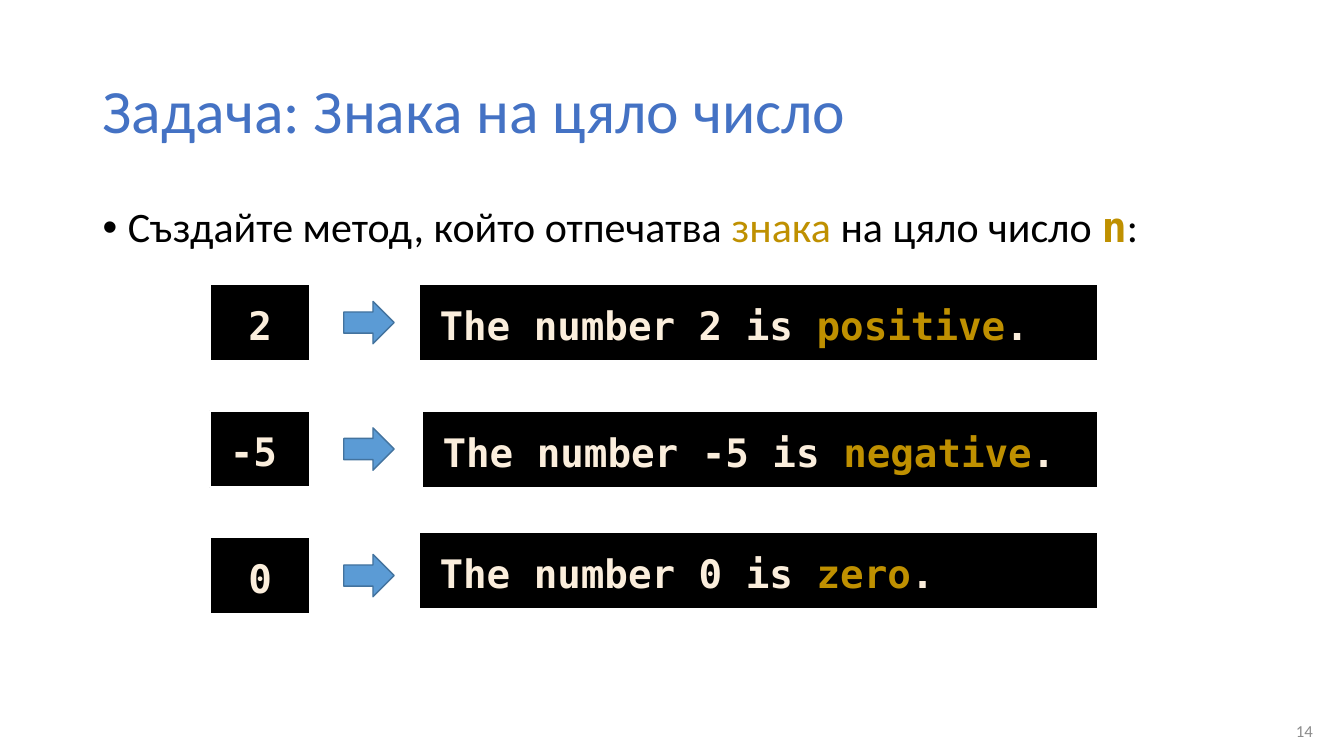
"""Builds the slide about printing the sign of an integer."""
from lxml import etree
from pptx import Presentation
from pptx.dml.color import RGBColor
from pptx.enum.shapes import MSO_SHAPE
from pptx.enum.text import MSO_ANCHOR, MSO_AUTO_SIZE, PP_ALIGN
from pptx.oxml.ns import qn
from pptx.util import Inches, Pt

RECTANGLE, ARROW = MSO_SHAPE.RECTANGLE, MSO_SHAPE.RIGHT_ARROW
TOP, MIDDLE = MSO_ANCHOR.TOP, MSO_ANCHOR.MIDDLE
LEFT, CENTER, RIGHT = PP_ALIGN.LEFT, PP_ALIGN.CENTER, PP_ALIGN.RIGHT
GROW = MSO_AUTO_SIZE.SHAPE_TO_FIT_TEXT

BLACK = RGBColor(0x00, 0x00, 0x00)
WHITE = RGBColor(0xFF, 0xFF, 0xFF)
GREY = RGBColor(0x8C, 0x8C, 0x8C)
TITLE_BLUE = RGBColor(0x44, 0x72, 0xC4)
ARROW_BLUE = RGBColor(0x5B, 0x9B, 0xD5)
ARROW_EDGE = RGBColor(0x43, 0x73, 0x9E)
GOLD = RGBColor(0xBF, 0x90, 0x00)
CREAM = RGBColor(0xFB, 0xEE, 0xDC)
SANS, MONO = "Calibri", "DejaVu Sans Mono"


def write(box, spans, size, font=SANS, align=LEFT, anchor=TOP, spacing=1.0, bullet=False):
    """Fills a box with one paragraph of (text, colour[, font]) spans."""
    frame = box.text_frame
    frame.word_wrap = True
    frame.vertical_anchor = anchor
    para = frame.paragraphs[0]
    para.alignment = align
    para.line_spacing = spacing
    if bullet:
        properties = para._p.get_or_add_pPr()
        properties.set("marL", str(Inches(0.25)))
        properties.set("indent", str(Inches(-0.25)))
        etree.SubElement(properties, qn("a:buFont"), typeface="Arial")
        etree.SubElement(properties, qn("a:buChar"), char="•")
    for text, colour, *other_font in spans:
        span = para.add_run()
        span.text = text
        span.font.name = other_font[0] if other_font else font
        span.font.size = Pt(size)
        span.font.bold = span.font.name == MONO
        span.font.color.rgb = colour


def add_block(kind, left, top, width, height, fill, edge, edge_width):
    """Adds a filled, outlined shape without a shadow."""
    block = page.shapes.add_shape(kind, Inches(left), Inches(top), Inches(width), Inches(height))
    block.shadow.inherit = False
    block.fill.solid()
    block.fill.fore_color.rgb = fill
    block.line.color.rgb = edge
    block.line.width = Pt(edge_width)
    return block


deck = Presentation()
deck.slide_width, deck.slide_height = Inches(13.33), Inches(7.5)
page = deck.slides.add_slide(deck.slide_layouts[6])

number = page.shapes.add_textbox(Inches(12.65), Inches(7.14), Inches(0.47), Inches(0.21))
write(number, [("14", GREY)], 12, align=RIGHT, anchor=MIDDLE)

title = page.shapes.add_textbox(Inches(0.92), Inches(0.4), Inches(11.5), Inches(1.45))
write(title, [("Задача: Знака на цяло число", TITLE_BLUE)], 44, anchor=MIDDLE, spacing=0.9)

task = page.shapes.add_textbox(Inches(0.92), Inches(2), Inches(11.5), Inches(4.76))
task_spans = [
    ("Създайте метод, който отпечатва ", BLACK),
    ("знака ", GOLD),
    ("на цяло число ", BLACK),
    ("n", GOLD, MONO),
    (":", BLACK),
]
write(task, task_spans, 30, spacing=0.9, bullet=True)

RIGHT_EDGE = 10.89
examples = [
    ("2", "positive", CENTER, 4.16, 2.82),
    ("-5", "negative", LEFT, 4.19, 4.08),
    ("0", "zero", CENTER, 4.16, 5.28),
]
for row, (value, sign, align, output_left, output_top) in enumerate(examples):
    top = 2.82 + row * 1.255
    sentence = [(f"The number {value} is ", CREAM), (sign, GOLD), (".", CREAM)]
    cells = [
        (2.08, top, 1, [(value, CREAM)], align),
        (output_left, output_top, RIGHT_EDGE - output_left, sentence, LEFT),
    ]
    for left, cell_top, width, spans, cell_align in cells:
        cell = add_block(RECTANGLE, left, cell_top, width, 0.76, BLACK, WHITE, 1.5)
        frame = cell.text_frame
        frame.margin_left = frame.margin_right = Inches(0.2)
        frame.margin_top = frame.margin_bottom = Inches(0.12)
        frame.auto_size = GROW
        write(cell, spans, 28, font=MONO, align=cell_align, spacing=1.1)
    add_block(ARROW, 3.41, top + 0.17, 0.5, 0.42, ARROW_BLUE, ARROW_EDGE, 1)

deck.save("out.pptx")
